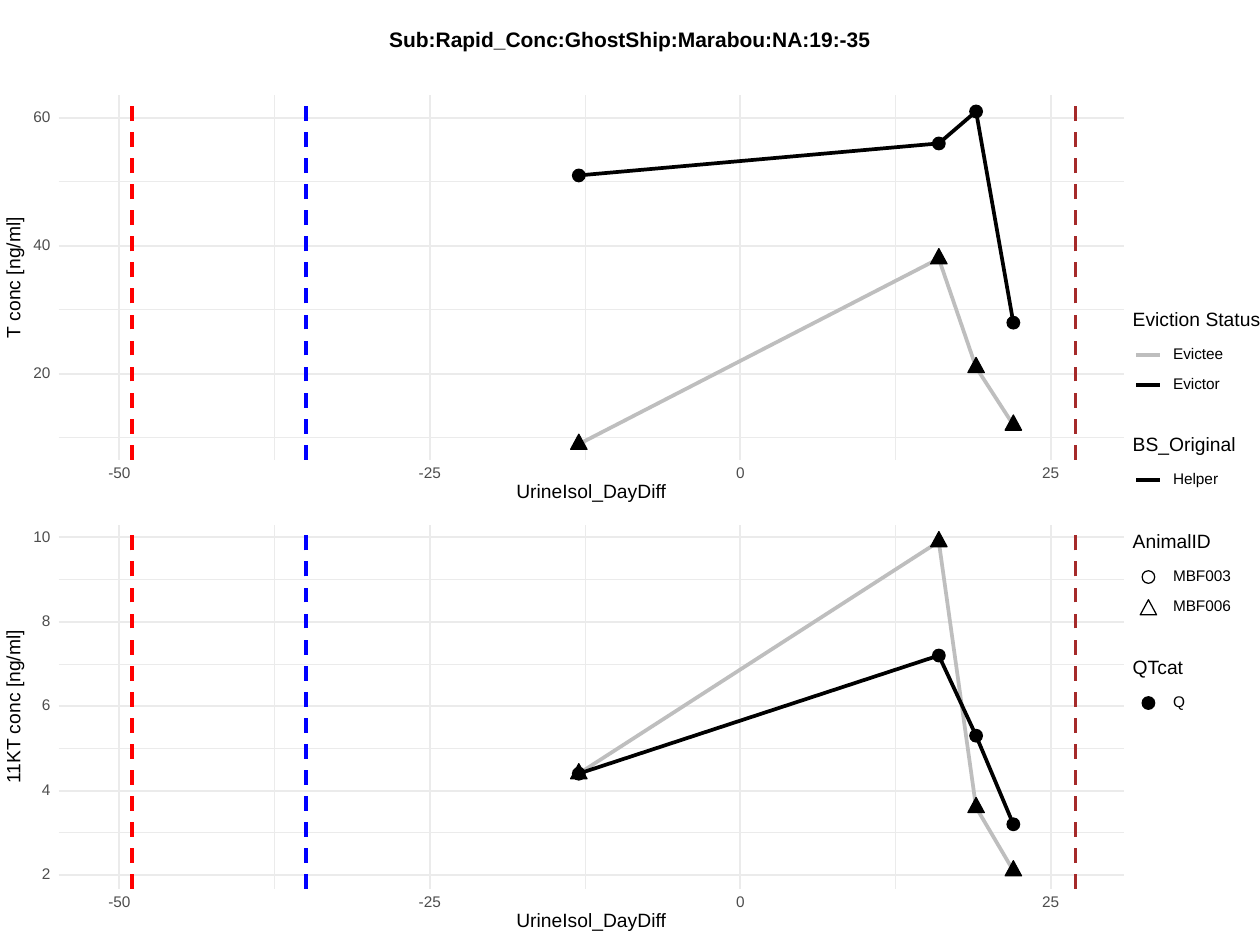
from dataclasses import dataclass

from lxml.etree import SubElement
from pptx import Presentation
from pptx.chart.data import XyChartData
from pptx.dml.color import RGBColor
from pptx.enum.chart import XL_CHART_TYPE, XL_MARKER_STYLE
from pptx.enum.dml import MSO_LINE
from pptx.enum.shapes import MSO_CONNECTOR, MSO_SHAPE
from pptx.enum.text import MSO_ANCHOR, PP_ALIGN
from pptx.oxml import parse_xml
from pptx.oxml.ns import nsdecls, qn
from pptx.util import Inches, Pt

COLS, ROWS = 100, 75
PANEL_LEFT, PANEL_WIDTH, PANEL_HEIGHT = 4.65, 84.55, 28.9
X_MIN, X_MAX = -54.9, 30.9
DAYS = (-13, 16, 19, 22)
CIRCLE, TRIANGLE = MSO_SHAPE.OVAL, MSO_SHAPE.ISOSCELES_TRIANGLE
LEFT, CENTER, RIGHT = PP_ALIGN.LEFT, PP_ALIGN.CENTER, PP_ALIGN.RIGHT


@dataclass(frozen=True)
class Theme:
    font: str = "Arial"
    title: float = 12
    heading: float = 11
    label: float = 8.8
    ink: str = "000000"
    tick: str = "4D4D4D"
    grid: str = "EBEBEB"
    evictee: str = "BEBEBE"
    first_event: str = "FF0000"
    second_event: str = "0000FF"
    last_event: str = "A52A2A"
    minor: float = 0.53
    major: float = 1.07
    data: float = 2.13
    outline: float = 0.71


@dataclass(frozen=True)
class Panel:
    name: str
    name_width: float
    top: float
    low: float
    high: float
    major: tuple
    minor: tuple
    evictor: tuple
    evictee: tuple

    @property
    def bottom(self):
        return self.top + PANEL_HEIGHT

    def y(self, value):
        return self.bottom - PANEL_HEIGHT * (value - self.low) / (self.high - self.low)


def day_x(day):
    return PANEL_LEFT + PANEL_WIDTH * (day - X_MIN) / (X_MAX - X_MIN)


def tick_width(label):
    return 0.7 * len(label.lstrip("-")) + 0.4 * label.startswith("-")


class Canvas:
    """Draws on one slide; lengths are columns and rows of the grid."""

    def __init__(self, prs, theme):
        self.theme = theme
        self.slide = prs.slides.add_slide(prs.slide_layouts[6])
        self.col = prs.slide_width / COLS
        self.row = prs.slide_height / ROWS

    def place(self, x, y, w, h):
        return [round(v) for v in (x * self.col, y * self.row, w * self.col, h * self.row)]

    def text(self, text, x, y, w, size, color=None, align=LEFT, bold=False, rotation=0):
        """Place one line at its left, centre or right x, centred on y."""
        w += 0.2
        left = x - w * {LEFT: 0, CENTER: 0.5, RIGHT: 1}[align]
        sp = self.slide.shapes.add_textbox(*self.place(left, y - 0.6, w, 1.2))
        sp.rotation = rotation
        tf = sp.text_frame
        tf.word_wrap = False
        tf.vertical_anchor = MSO_ANCHOR.MIDDLE
        tf.margin_left = tf.margin_right = tf.margin_top = tf.margin_bottom = 0
        p = tf.paragraphs[0]
        p.alignment = align
        p.line_spacing = Pt(size)
        r = p.add_run()
        r.text = text
        r.font.name, r.font.size, r.font.bold = self.theme.font, Pt(size), bold
        r.font.color.rgb = RGBColor.from_string(color or self.theme.ink)

    def line(self, x1, y1, x2, y2, color, width, dash=None):
        start, end = self.place(x1, y1, x2, y2)[:2], self.place(x1, y1, x2, y2)[2:]
        cxn = self.slide.shapes.add_connector(MSO_CONNECTOR.STRAIGHT, *start, *end)
        self.stroke(cxn.line, color, width)
        cxn.line.dash_style = dash
        SubElement(cxn._element.spPr, qn("a:effectLst"))

    def stroke(self, line, color, width):
        line.color.rgb = RGBColor.from_string(color)
        line.width = Pt(width)

    def symbol(self, shape, x, y, filled=True):
        w, h = (1, 1) if shape == CIRCLE else (1.3, 1.2)
        sp = self.slide.shapes.add_shape(shape, *self.place(x - w / 2, y - h / 2, w, h))
        sp.shadow.inherit = False
        if filled:
            sp.fill.solid()
            sp.fill.fore_color.rgb = RGBColor.from_string(self.theme.ink)
        else:
            sp.fill.background()
        self.stroke(sp.line, self.theme.ink, self.theme.outline)

    def grid(self, panel):
        t = self.theme
        right = PANEL_LEFT + PANEL_WIDTH
        for values, days, width in ((panel.minor, (-37.5, -12.5, 12.5), t.minor),
                                    (panel.major, (-50, -25, 0, 25), t.major)):
            for value in values:
                self.line(PANEL_LEFT, panel.y(value), right, panel.y(value), t.grid, width)
            for day in days:
                self.line(day_x(day), panel.bottom, day_x(day), panel.top, t.grid, width)

    def chart(self, panel):
        t = self.theme
        groups = (("Evictor", panel.evictor, t.ink), ("Evictee", panel.evictee, t.evictee))
        data = XyChartData()
        for name, values, _ in groups:
            series = data.add_series(name)
            for day, value in zip(DAYS, values):
                series.add_data_point(day, value)
        chart = self.slide.shapes.add_chart(
            XL_CHART_TYPE.XY_SCATTER_LINES_NO_MARKERS,
            *self.place(PANEL_LEFT, panel.top, PANEL_WIDTH, PANEL_HEIGHT), data).chart
        chart.has_title = chart.has_legend = False
        chart.font.name, chart.font.size = t.font, Pt(t.label)
        for axis, low, high in ((chart.category_axis, X_MIN, X_MAX),
                                (chart.value_axis, panel.low, panel.high)):
            axis.minimum_scale, axis.maximum_scale = low, high
            axis.has_major_gridlines = axis.visible = False
        plot = chart.plots[0]
        plot.vary_by_categories = False
        for s, (_, _, color) in zip(plot.series, groups):
            self.stroke(s.format.line, color, t.data)
            s.marker.style = XL_MARKER_STYLE.NONE
            s.smooth = False
        self.fill_frame(chart)

    def fill_frame(self, chart):
        """Stretch the plot over the whole chart and clear the background."""
        area = chart._chartSpace.find(".//" + qn("c:plotArea"))
        for old in area.findall(qn("c:layout")):
            area.remove(old)
        parts = '<c:layoutTarget val="inner"/><c:xMode val="edge"/><c:yMode val="edge"/>'
        parts += "".join(f'<c:{k} val="{v}"/>' for k, v in zip("xywh", (0, 0, 1, 1)))
        area.insert(0, parse_xml(f'<c:layout {nsdecls("c")}><c:manualLayout>{parts}'
                                 '</c:manualLayout></c:layout>'))
        chart._chartSpace.find(qn("c:chart")).addnext(parse_xml(
            f'<c:spPr {nsdecls("c", "a")}><a:noFill/><a:ln><a:noFill/></a:ln></c:spPr>'))

    def animals(self, panel):
        """Mark each sample with the symbol of its animal."""
        for shape, values, lift in ((CIRCLE, panel.evictor, 0), (TRIANGLE, panel.evictee, 0.2)):
            for day, value in zip(DAYS, values):
                self.symbol(shape, day_x(day), panel.y(value) - lift)

    def events(self, panel):
        t = self.theme
        for day, color in ((-49, t.first_event), (-35, t.second_event), (27, t.last_event)):
            self.line(day_x(day), panel.bottom, day_x(day), panel.top, color, t.data,
                      MSO_LINE.DASH)

    def axis_labels(self, panel):
        t = self.theme
        for value in panel.major:
            label = str(value)
            self.text(label, 4, panel.y(value), tick_width(label), t.label, t.tick, RIGHT)
        for day in (-50, -25, 0, 25):
            label = str(day)
            self.text(label, day_x(day), panel.bottom + 1.1, tick_width(label),
                      t.label, t.tick, CENTER)
        self.text("UrineIsol_DayDiff", PANEL_LEFT + PANEL_WIDTH / 2, panel.bottom + 2.6, 11.9,
                  t.heading, align=CENTER)
        self.text(panel.name, 1.15, panel.top + PANEL_HEIGHT / 2, panel.name_width,
                  t.heading, align=CENTER, rotation=270)

    def legend(self, heading, width, y, items):
        """Each item is a label, its width, and a line colour or a (shape, filled) pair."""
        t = self.theme
        self.text(heading, 89.9, y, width, t.heading)
        for i, (label, label_width, key) in enumerate(items):
            item_y = y + 2.7 + 2.4 * i
            if isinstance(key, str):
                self.line(90.2, item_y, 92.1, item_y, key, t.data)
            else:
                self.symbol(key[0], 91.15, item_y, key[1])
            self.text(label, 93.1, item_y, label_width, t.label)


def main():
    prs = Presentation()
    prs.slide_width, prs.slide_height = Inches(10), Inches(7.5)
    theme = Theme()
    canvas = Canvas(prs, theme)
    canvas.text("Sub:Rapid_Conc:GhostShip:Marabou:NA:19:-35", COLS / 2, 3.25, 38.2,
                theme.title, align=CENTER, bold=True)
    panels = (
        Panel("T conc [ng/ml]", 9.6, 7.58, 6.6, 63.5, (20, 40, 60), (10, 30, 50),
              (51, 56, 61, 28), (9, 38, 21, 12)),
        Panel("11KT conc [ng/ml]", 12.3, 41.65, 1.67, 10.3, (2, 4, 6, 8, 10), (3, 5, 7, 9),
              (4.4, 7.2, 5.3, 3.2), (4.4, 9.9, 3.6, 2.1)),
    )
    for panel in panels:
        canvas.grid(panel)
        canvas.chart(panel)
        canvas.animals(panel)
        canvas.events(panel)
        canvas.axis_labels(panel)
    canvas.legend("Eviction Status", 10.1, 25.45, (("Evictee", 4, theme.evictee),
                                                   ("Evictor", 3.7, theme.ink)))
    canvas.legend("BS_Original", 8.2, 35.4, (("Helper", 3.6, theme.ink),))
    canvas.legend("AnimalID", 6.2, 43.1, (("MBF003", 4.6, (CIRCLE, False)),
                                          ("MBF006", 4.6, (TRIANGLE, False))))
    canvas.legend("QTcat", 4.2, 53.1, (("Q", 1, (CIRCLE, True)),))
    prs.save("out.pptx")


if __name__ == "__main__":
    main()
